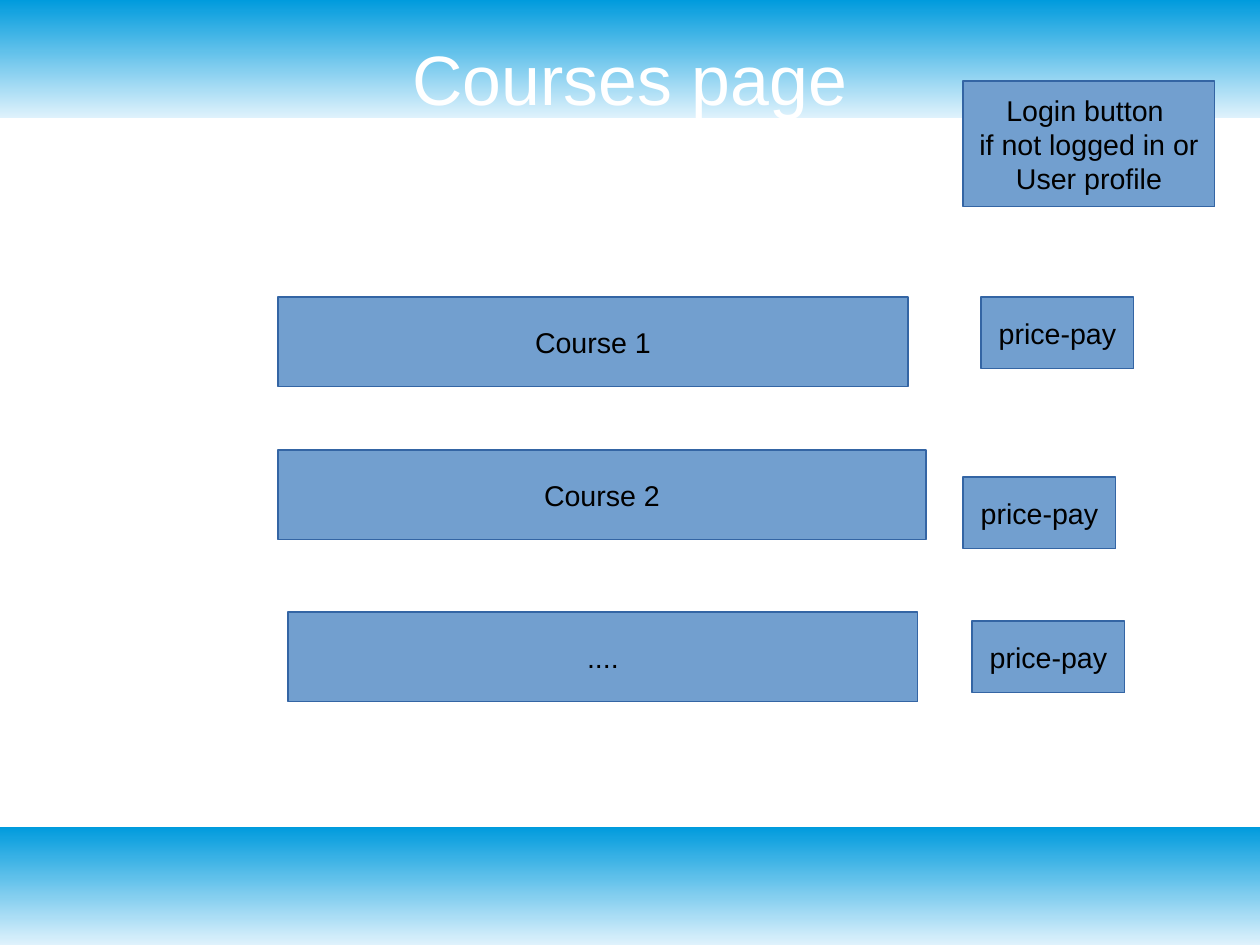
from pptx import Presentation
from pptx.dml.color import RGBColor
from pptx.enum.shapes import MSO_SHAPE
from pptx.enum.text import MSO_ANCHOR, MSO_AUTO_SIZE, PP_ALIGN
from pptx.util import Emu, Pt

EMU_PER_PX = 8000
SLIDE_WIDTH, SLIDE_HEIGHT = 1260, 945
BAND_HEIGHT = 118
COURSE_HEIGHT = 90
PRICE_WIDTH, PRICE_HEIGHT = 153, 72

COURSES = [
    ("Course 1", (278, 297, 630), (981, 297)),
    ("Course 2", (278, 450, 648), (963, 477)),
    ("....", (288, 612, 630), (972, 621)),
]


def px(length):
    return Emu(length * EMU_PER_PX)


def rgb(value):
    return RGBColor.from_string(value)


def write(frame, lines, size=18, color="000000", font="Arial", margins=(11, 6), wrap=False):
    frame.word_wrap = wrap
    frame.vertical_anchor = MSO_ANCHOR.MIDDLE
    frame.margin_left = frame.margin_right = px(margins[0])
    frame.margin_top = frame.margin_bottom = px(margins[1])
    for index, line in enumerate(lines):
        paragraph = frame.add_paragraph() if index else frame.paragraphs[0]
        paragraph.alignment = PP_ALIGN.CENTER
        run = paragraph.add_run()
        run.text = line
        run.font.name = font
        run.font.size = Pt(size)
        run.font.color.rgb = rgb(color)


def add_rectangle(slide, left, top, width, height):
    rectangle = slide.shapes.add_shape(
        MSO_SHAPE.RECTANGLE, px(left), px(top), px(width), px(height)
    )
    rectangle.shadow.inherit = False
    return rectangle


def add_band(slide, top):
    band = add_rectangle(slide, 0, top, SLIDE_WIDTH, BAND_HEIGHT)
    band.line.fill.background()
    band.fill.gradient()
    band.fill.gradient_angle = 90
    for stop, color in zip(band.fill.gradient_stops, ("DFF2FC", "009BDD")):
        stop.color.rgb = rgb(color)


def add_title(slide, text):
    title = slide.shapes.title
    title.left, title.top, title.width, title.height = map(px, (63, 38, 1134, 80))
    write(title.text_frame, [text], size=44, color="FFFFFF", margins=(0, 0), wrap=True)
    title.text_frame.auto_size = MSO_AUTO_SIZE.SHAPE_TO_FIT_TEXT
    slide.shapes.element.append(title.element)


def add_box(slide, lines, left, top, width, height):
    box = add_rectangle(slide, left, top, width, height)
    box.fill.solid()
    box.fill.fore_color.rgb = rgb("729FCF")
    box.line.color.rgb = rgb("3465A4")
    box.line.width = Pt(0)
    write(box.text_frame, lines)


def main():
    presentation = Presentation()
    presentation.slide_width = px(SLIDE_WIDTH)
    presentation.slide_height = px(SLIDE_HEIGHT)
    slide = presentation.slides.add_slide(presentation.slide_layouts[5])

    for top in (0, SLIDE_HEIGHT - BAND_HEIGHT):
        add_band(slide, top)
    add_title(slide, "Courses page")

    login = ["Login button ", "if not logged in or", "User profile"]
    add_box(slide, login, 963, 81, 252, 126)
    for name, course_place, price_place in COURSES:
        add_box(slide, [name], *course_place, COURSE_HEIGHT)
        add_box(slide, ["price-pay"], *price_place, PRICE_WIDTH, PRICE_HEIGHT)

    presentation.save("out.pptx")


if __name__ == "__main__":
    main()
